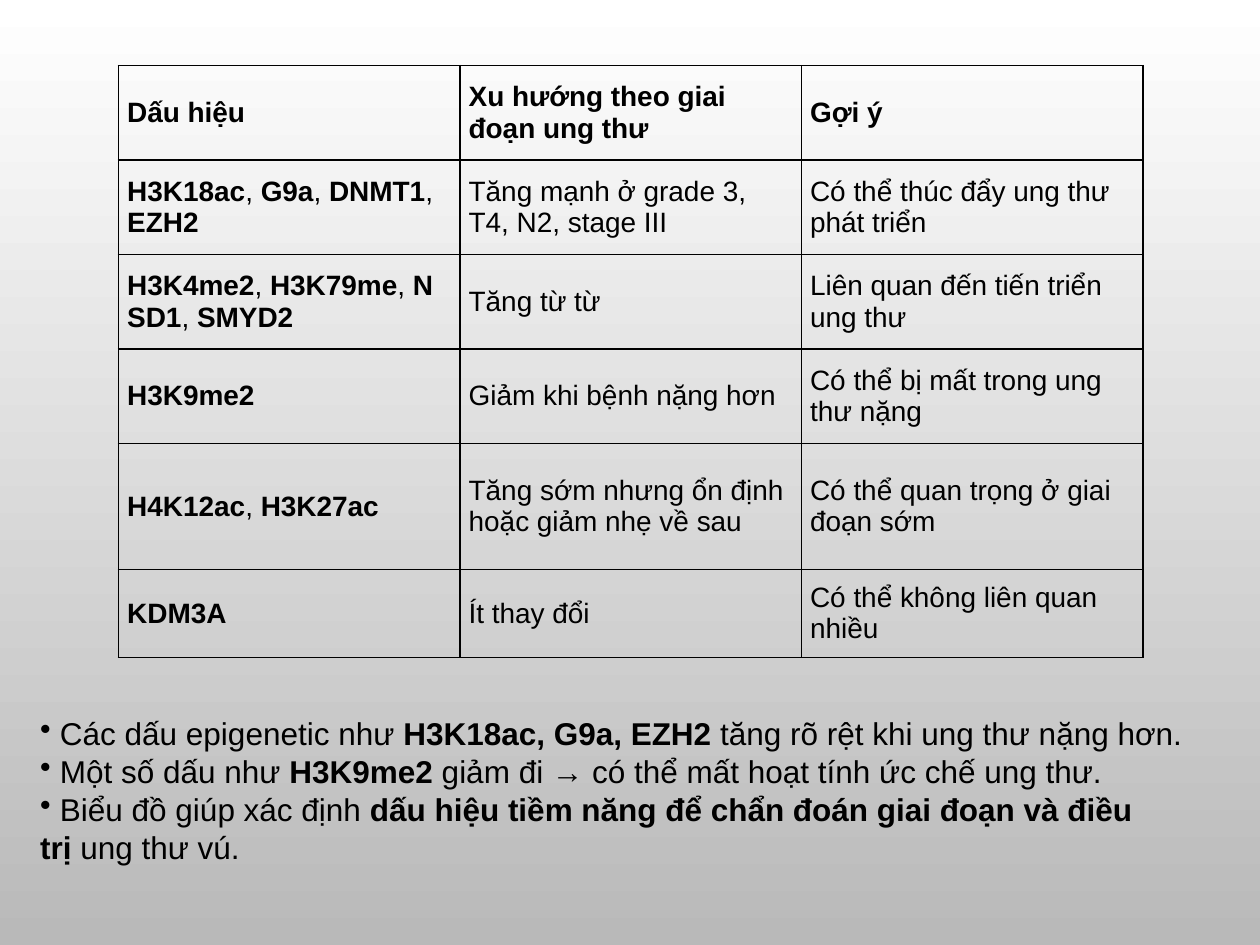
from dataclasses import dataclass

from lxml import etree
from pptx import Presentation
from pptx.dml.color import RGBColor
from pptx.enum.text import MSO_ANCHOR, MSO_AUTO_SIZE
from pptx.oxml.ns import qn
from pptx.util import Inches, Pt

MIDDLE = MSO_ANCHOR.MIDDLE
GROW = MSO_AUTO_SIZE.SHAPE_TO_FIT_TEXT
HARD = chr(160)


@dataclass(frozen=True)
class Theme:
    font: str = "Arial"
    ink: str = "000000"
    top: str = "FFFFFF"
    base: str = "B9B9B9"
    cell: int = 16
    note: int = 18
    rule: int = 1


THEME = Theme()

HEIGHTS = [0.75, 0.75, 0.75, 0.75, 1, 0.7]
WIDTH = 2.71
ROWS = [
    ["**Dấu hiệu**", "**Xu hướng theo giai đoạn ung thư**", "**Gợi ý**"],
    ["**H3K18ac**,_**G9a**,_**DNMT1**,_**EZH2**",
     "Tăng mạnh ở grade 3, T4, N2, stage III",
     "Có thể thúc đẩy ung thư phát triển"],
    ["**H3K4me2**,_**H3K79me**,_**NSD1**,_**SMYD2**",
     "Tăng từ từ", "Liên quan đến tiến triển ung thư"],
    ["**H3K9me2**", "Giảm khi bệnh nặng hơn",
     "Có thể bị mất trong ung thư nặng"],
    ["**H4K12ac**,_**H3K27ac**",
     "Tăng sớm nhưng ổn định hoặc giảm nhẹ về sau",
     "Có thể quan trọng ở giai đoạn sớm"],
    ["**KDM3A**", "Ít thay đổi", "Có thể không liên quan nhiều"],
]
NOTES = [
    " Các dấu epigenetic như_**H3K18ac, G9a, EZH2**"
    "_tăng rõ rệt khi ung thư nặng hơn.",
    " Một số dấu như_**H3K9me2**"
    "_giảm đi → có thể mất hoạt tính ức chế ung thư.",
    " Biểu đồ giúp xác định_**dấu hiệu tiềm năng để chẩn đoán "
    "giai đoạn và điều trị**_ung thư vú.",
]


def add_runs(para, text, size):
    for index, part in enumerate(text.replace("_", HARD).split("**")):
        if part:
            run = para.add_run()
            run.text = part
            run.font.name = THEME.font
            run.font.size = Pt(size)
            run.font.bold = index % 2 == 1
            run.font.color.rgb = RGBColor.from_string(THEME.ink)


def paint_back(slide):
    fill = slide.background.fill
    fill.gradient()
    fill.gradient_angle = 270
    for stop, color, place in zip(
            fill.gradient_stops, (THEME.top, THEME.base), (0, 1)):
        stop.color.rgb = RGBColor.from_string(color)
        stop.position = place


def add_edges(cell):
    props = cell._tc.get_or_add_tcPr()
    for side in ("lnL", "lnR", "lnT", "lnB"):
        line = etree.SubElement(props, qn(f"a:{side}"), w=str(Pt(THEME.rule)))
        solid = etree.SubElement(line, qn("a:solidFill"))
        etree.SubElement(solid, qn("a:srgbClr"), val=THEME.ink)


def fill_cell(cell, text):
    add_edges(cell)
    cell.fill.background()
    cell.vertical_anchor = MIDDLE
    cell.margin_left = cell.margin_right = Inches(0.07)
    cell.margin_top = cell.margin_bottom = Inches(0.04)
    add_runs(cell.text_frame.paragraphs[0], text, THEME.cell)


def add_grid(slide):
    count = len(ROWS[0])
    grid = slide.shapes.add_table(
        len(ROWS), count, Inches(0.94), Inches(0.52),
        Inches(WIDTH * count), Inches(sum(HEIGHTS))).table
    grid.first_row = grid.horz_banding = False
    for column in grid.columns:
        column.width = Inches(WIDTH)
    for row, height, texts in zip(grid.rows, HEIGHTS, ROWS):
        row.height = Inches(height)
        for cell, text in zip(row.cells, texts):
            fill_cell(cell, text)


def add_notes(slide):
    frame = slide.shapes.add_textbox(
        Inches(0.22), Inches(5.62), Inches(9.66), Inches(1.31)).text_frame
    frame.word_wrap = True
    frame.auto_size = GROW
    for index, text in enumerate(NOTES):
        para = frame.add_paragraph() if index else frame.paragraphs[0]
        props = para._p.get_or_add_pPr()
        etree.SubElement(props, qn("a:buChar"), char="•")
        add_runs(para, text, THEME.note)


def main():
    deck = Presentation()
    deck.slide_width = Inches(10)
    deck.slide_height = Inches(7.5)
    slide = deck.slides.add_slide(deck.slide_layouts[6])
    paint_back(slide)
    add_grid(slide)
    add_notes(slide)
    deck.save("out.pptx")


if __name__ == "__main__":
    main()
